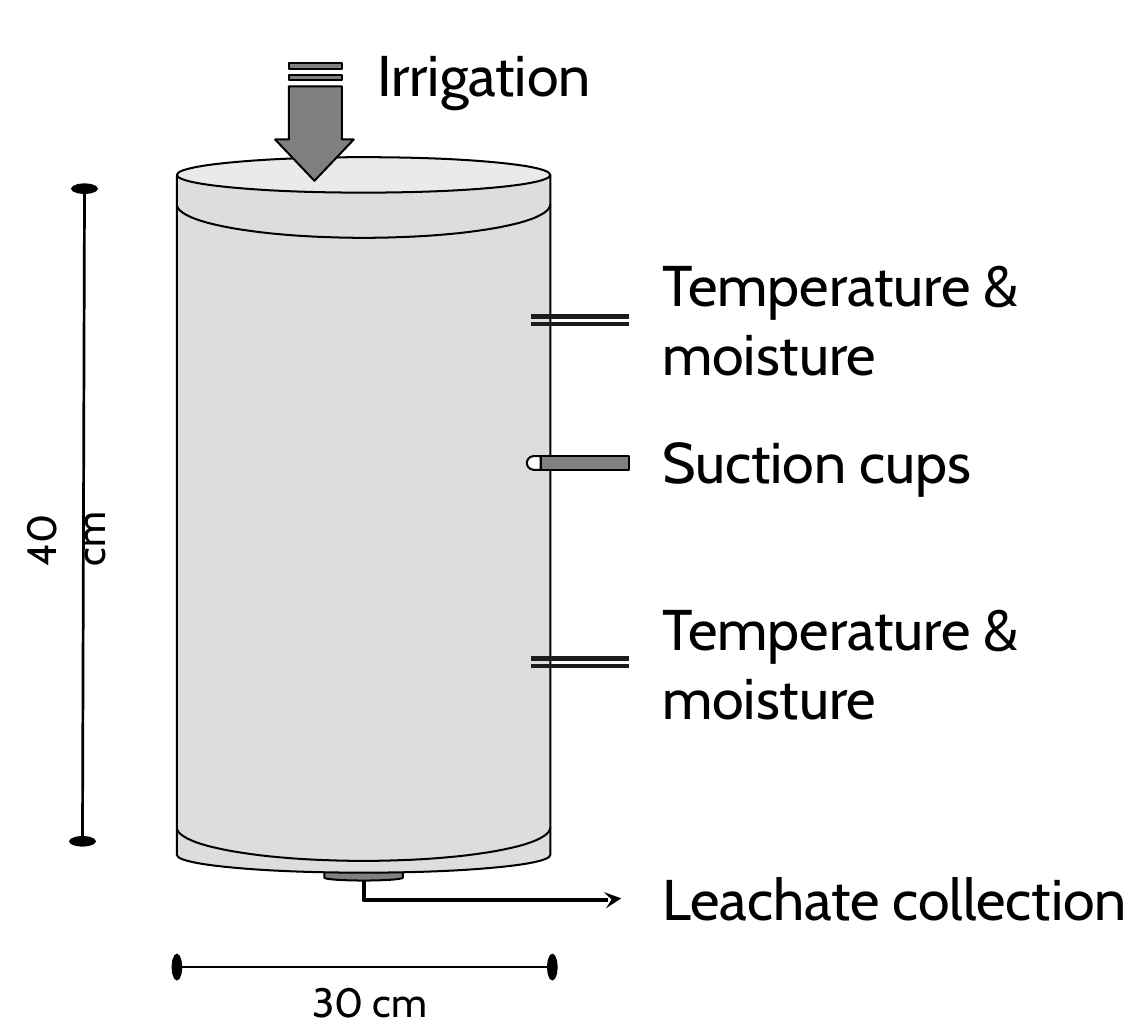
import math

import lxml.etree
import pptx
import pptx.dml.color
import pptx.enum.shapes
import pptx.oxml.ns
import pptx.util

Inches = pptx.util.Inches
Pt = pptx.util.Pt
RGBColor = pptx.dml.color.RGBColor
SHAPE = pptx.enum.shapes.MSO_SHAPE
CONNECTOR = pptx.enum.shapes.MSO_CONNECTOR
qn = pptx.oxml.ns.qn

BLACK = RGBColor(0x00, 0x00, 0x00)
WHITE = RGBColor(0xFF, 0xFF, 0xFF)
STEEL = RGBColor(0x80, 0x80, 0x80)
COLUMN = RGBColor(0xDD, 0xDD, 0xDD)
PROBE = RGBColor(0x1C, 0x1C, 0x1C)

OVAL = {"type": "oval", "w": "lg", "len": "sm"}
STEALTH = {"type": "stealth", "w": "med", "len": "med"}


class Diagram:
    def __init__(self, slide, font_name):
        self.shapes = slide.shapes
        self.font_name = font_name

    def paint(self, shape, fill=None):
        """Give a shape its fill, or none, and a hairline outline."""
        shape.shadow.inherit = False
        if fill is None:
            shape.fill.background()
        else:
            shape.fill.solid()
            shape.fill.fore_color.rgb = fill
        shape.line.color.rgb = BLACK
        shape.line.width = Pt(0)

    def shape(self, kind, left, top, width, height, fill, adjust=None, rotation=0):
        shape = self.shapes.add_shape(
            kind, Inches(left), Inches(top), Inches(width), Inches(height))
        if adjust is not None:
            shape.adjustments[0] = adjust
        shape.rotation = rotation
        self.paint(shape, fill)

    def outline(self, contours, fill=None):
        """Draw contours as one shape; they are closed when it has a fill."""
        builder = None
        for contour in contours:
            start, *others = [(Inches(x), Inches(y)) for x, y in contour]
            if builder is None:
                builder = self.shapes.build_freeform(*start)
            else:
                builder.move_to(*start)
            builder.add_line_segments(others, close=fill is not None)
        self.paint(builder.convert_to_shape(), fill)

    def line(self, start, end, color=BLACK, width=1.5, head=None, tail=None,
             kind=CONNECTOR.STRAIGHT):
        line = self.shapes.add_connector(
            kind, *[Inches(value) for value in (*start, *end)])
        line.line.color.rgb = color
        line.line.width = Pt(width)
        for tag, ending in (("a:headEnd", head), ("a:tailEnd", tail)):
            if ending:
                lxml.etree.SubElement(line.line._ln, qn(tag), ending)
        lxml.etree.SubElement(line._element.spPr, qn("a:effectLst"))
        return line

    def elbow(self, start, end, turn, bend):
        """Draw a turned elbow arrow; bend is the middle leg's share of the width."""
        line = self.line(start, end, tail=STEALTH, kind=CONNECTOR.ELBOW)
        properties = line._element.spPr
        properties.find(qn("a:xfrm")).set("rot", str(turn * 60000))
        guides = properties.find(qn("a:prstGeom")).find(qn("a:avLst"))
        lxml.etree.SubElement(guides, qn("a:gd"), {
            "name": "adj1", "fmla": f"val {round(bend * 100000)}"})

    def label(self, text, left, top, width, height, size=21, rotation=0):
        box = self.shapes.add_textbox(
            Inches(left), Inches(top), Inches(width), Inches(height))
        box.rotation = rotation
        box.text_frame.word_wrap = True
        para = box.text_frame.paragraphs[0]
        para.text = text
        style = {"name": self.font_name, "size": Pt(size)}
        for span in para.runs:
            for name, value in style.items():
                setattr(span.font, name, value)
            span.font.color.rgb = BLACK


def lower_arc(left, top, width, height, steps=48):
    """Return points along the lower half of an ellipse, from left to right."""
    angles = [math.pi * step / steps for step in range(steps + 1)]
    return [(left + width / 2 * (1 - math.cos(angle)),
             top + height * math.sin(angle)) for angle in angles]


def main():
    deck = pptx.Presentation()
    deck.slide_width = Inches(5.84)
    deck.slide_height = Inches(5.25)
    page = deck.slides.add_slide(deck.slide_layouts[6])
    diagram = Diagram(page, "Cabin")

    # Soil column with its outlet
    diagram.shape(SHAPE.CAN, 1.65, 4.36, 0.4, 0.12, STEEL, adjust=0.25)
    diagram.shape(SHAPE.CAN, 0.9, 0.8, 1.9, 3.64, COLUMN, adjust=0.095)
    for level in (1.04, 4.21):
        diagram.outline([lower_arc(0.9, level, 1.9, 0.17)])

    # Dimensions
    diagram.line((0.9, 4.92), (2.81, 4.92), width=1, head=OVAL, tail=OVAL)
    diagram.label("30 cm", 1.49, 4.92, 0.9, 0.33, size=15)
    diagram.line((0.42, 4.28), (0.43, 0.96), width=1, head=OVAL, tail=OVAL)
    diagram.label("40 cm", 0.08, 2.43, 0.5, 0.6, size=15, rotation=270)

    # Irrigation arrow with two stripes
    left, right = 1.47, 1.74
    arrow = [(1.8, 0.71), (1.6, 0.92), (1.4, 0.71), (left, 0.71),
             (left, 0.44), (right, 0.44), (right, 0.71)]
    stripes = [[(right, top), (left, top), (left, top + 0.03), (right, top + 0.03)]
               for top in (0.32, 0.38)]
    diagram.outline([arrow, *stripes], STEEL)
    diagram.label("Irrigation", 1.82, 0.15, 1.49, 0.5)

    # Suction cup
    diagram.shape(SHAPE.FLOWCHART_DELAY, 2.68, 2.32, 0.07, 0.07, WHITE, rotation=180)
    diagram.shape(SHAPE.RECTANGLE, 2.75, 2.32, 0.45, 0.07, STEEL)
    diagram.label("Suction cups", 3.27, 2.12, 1.93, 0.5)

    # Temperature and moisture probes
    for probe_top, label_top in ((1.61, 1.22), (3.35, 2.97)):
        for y in (probe_top, probe_top + 0.04):
            diagram.line((2.7, y), (3.2, y), PROBE)
        diagram.label("Temperature &\nmoisture", 3.27, label_top, 2.25, 0.89)

    # Leachate outlet
    diagram.elbow((2.55, 3.87), (2.46, 5.18), turn=270, bend=1.1)
    diagram.label("Leachate collection", 3.27, 4.34, 2.57, 0.5)

    deck.save("out.pptx")


if __name__ == "__main__":
    main()
